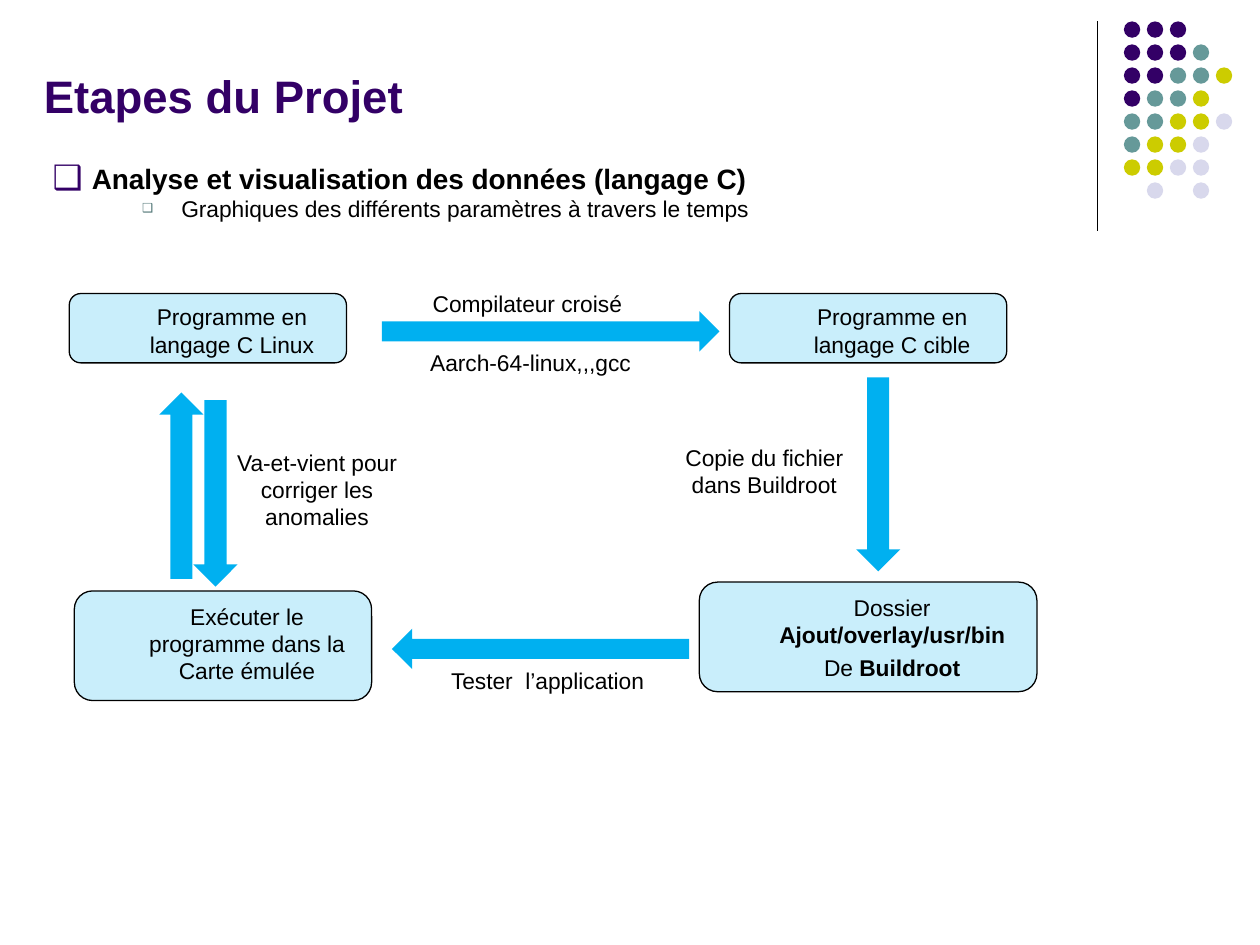
from lxml.etree import SubElement
from pptx import Presentation
from pptx.dml.color import RGBColor
from pptx.enum.shapes import MSO_CONNECTOR, MSO_SHAPE
from pptx.enum.text import MSO_ANCHOR, PP_ALIGN
from pptx.oxml.ns import qn
from pptx.util import Inches, Pt

BLACK = RGBColor(0x00, 0x00, 0x00)
PURPLE = RGBColor(0x33, 0x00, 0x66)
TEAL = RGBColor(0x66, 0x99, 0x99)
OLIVE = RGBColor(0xCC, 0xCC, 0x00)
LAVENDER = RGBColor(0xD8, 0xD8, 0xEC)
DARK_TEAL = RGBColor(0x4D, 0x73, 0x73)
BLUE = RGBColor(0x00, 0xB0, 0xF0)

DOT_ROWS = ["PPP", "PPPT", "PPTTO", "PTTO", "TTOOL", "TOOL", "OOLL", " L L"]
DOT_COLOURS = {"P": PURPLE, "T": TEAL, "O": OLIVE, "L": LAVENDER}
DOT_LEFT, DOT_TOP, DOT_SIZE = 8.92, 0.17, 0.13
DOT_PITCH = 0.73 / 4

TITLE = "Etapes du Projet"
BULLETS = [
    ("Analyse et visualisation des données (langage C)", 0, 0.36, PURPLE, 120, 16, True, 0.1),
    ("Graphiques des différents paramètres à travers le temps", 1, 1.07, DARK_TEAL, 55, 13, False, 4.1),
]
STEPS = [
    ((0.55, 2.33, 2.2, 0.55), [[("Programme en langage C Linux", False)]]),
    ((5.79, 2.33, 2.2, 0.55), [[("Programme en langage C cible", False)]]),
    ((5.55, 4.62, 2.68, 0.87), [
        [("Dossier ", False), ("Ajout/overlay/usr/bin", True)],
        [("De ", False), ("Buildroot", True)],
    ]),
    ((0.59, 4.69, 2.36, 0.87), [[("Exécuter le programme dans la Carte émulée", False)]]),
]
ARROWS = [
    ((3.03, 2.47, 2.68, 0.32), 0),
    ((6.2, 3.59, 1.54, 0.35), 90),
    ((3.11, 4.99, 2.36, 0.32), 180),
    ((0.7, 3.68, 1.48, 0.35), 270),
    ((0.97, 3.74, 1.48, 0.35), 90),
]
LABELS = [
    ((3.11, 2.25, 2.2, 0.32), "Compilateur croisé "),
    ((3.11, 2.72, 2.2, 0.32), "Aarch-64-linux,,,gcc"),
    ((5.24, 3.47, 1.65, 0.54), "Copie du fichier dans Buildroot"),
    ((3.27, 5.24, 2.2, 0.32), "Tester  l’application "),
    ((1.69, 3.51, 1.65, 0.75), "Va-et-vient pour corriger les anomalies"),
]


def inches(place):
    return [Inches(length) for length in place]


def set_font(font, size, colour=BLACK):
    font.name = "Arial"
    font.size = Pt(size)
    font.color.rgb = colour


def add_filled_shape(page, kind, place, colour):
    shape = page.shapes.add_shape(kind, *inches(place))
    shape.shadow.inherit = False
    shape.fill.solid()
    shape.fill.fore_color.rgb = colour
    shape.line.fill.background()
    return shape


def prepare_frame(shape, anchor=MSO_ANCHOR.TOP):
    frame = shape.text_frame
    frame.word_wrap = True
    frame.vertical_anchor = anchor
    frame.margin_left = frame.margin_right = Inches(0.1)
    frame.margin_top = frame.margin_bottom = Inches(0.05)
    return frame


def next_paragraph(frame, index):
    return frame.add_paragraph() if index else frame.paragraphs[0]


def write_centred(shape, paragraphs, indent=0):
    frame = prepare_frame(shape)
    for index, spans in enumerate(paragraphs):
        para = next_paragraph(frame, index)
        para.alignment = PP_ALIGN.CENTER
        if index:
            para.space_before = Pt(3.4)
        if indent:
            para._p.get_or_add_pPr().set("marL", str(Inches(indent)))
        set_font(para.font, 13)
        for text, bold in spans:
            span = para.add_run()
            span.text = text
            span.font.bold = bold


def add_bullet(para, indent, colour, percent):
    properties = para._p.get_or_add_pPr()
    properties.set("marL", str(Inches(indent)))
    properties.set("indent", str(Inches(-0.31)))
    bullet_colour = SubElement(properties, qn("a:buClr"))
    SubElement(bullet_colour, qn("a:srgbClr"), val=str(colour))
    SubElement(properties, qn("a:buSzPct"), val=str(percent * 1000))
    SubElement(properties, qn("a:buFont"), typeface="Arial")
    SubElement(properties, qn("a:buChar"), char="❑")


def add_decoration(page):
    rule = page.shapes.add_connector(MSO_CONNECTOR.STRAIGHT, *inches((8.71, 0.17, 8.71, 1.83)))
    rule.line.color.rgb = BLACK
    rule.line.width = Pt(0.75)
    SubElement(rule._element.spPr, qn("a:effectLst"))
    for row, letters in enumerate(DOT_ROWS):
        for column, letter in enumerate(letters):
            if letter in DOT_COLOURS:
                place = (DOT_LEFT + column * DOT_PITCH, DOT_TOP + row * DOT_PITCH, DOT_SIZE, DOT_SIZE)
                add_filled_shape(page, MSO_SHAPE.OVAL, place, DOT_COLOURS[letter])


def add_heading(page):
    title = page.shapes.add_textbox(*inches((0.25, 0.36, 8.42, 0.66)))
    para = prepare_frame(title, MSO_ANCHOR.BOTTOM).paragraphs[0]
    para.text = TITLE
    set_font(para.font, 26, PURPLE)
    para.font.bold = True

    box = page.shapes.add_textbox(*inches((0.27, 1.23, 8.39, 0.79)))
    frame = prepare_frame(box)
    for index, (text, level, indent, colour, percent, size, bold, after) in enumerate(BULLETS):
        para = next_paragraph(frame, index)
        para.text = text
        para.level = level
        add_bullet(para, indent, colour, percent)
        para.space_after = Pt(after)
        set_font(para.font, size)
        para.font.bold = bold


def add_diagram(page):
    for place, paragraphs in STEPS:
        box = add_filled_shape(page, MSO_SHAPE.ROUNDED_RECTANGLE, place, BLUE)
        colour = box._element.spPr.find(qn("a:solidFill")).find(qn("a:srgbClr"))
        SubElement(colour, qn("a:alpha"), val="21000")
        box.line.color.rgb = BLACK
        box.line.width = Pt(0.75)
        write_centred(box, paragraphs, indent=0.38)
    for place, rotation in ARROWS:
        arrow = add_filled_shape(page, MSO_SHAPE.RIGHT_ARROW, place, BLUE)
        arrow.rotation = rotation
    for place, text in LABELS:
        write_centred(page.shapes.add_textbox(*inches(place)), [[(text, False)]])


def main():
    deck = Presentation()
    deck.slide_width, deck.slide_height = Inches(10), Inches(7.5)
    page = deck.slides.add_slide(deck.slide_layouts[6])
    add_decoration(page)
    add_heading(page)
    add_diagram(page)
    deck.save("out.pptx")


if __name__ == "__main__":
    main()
